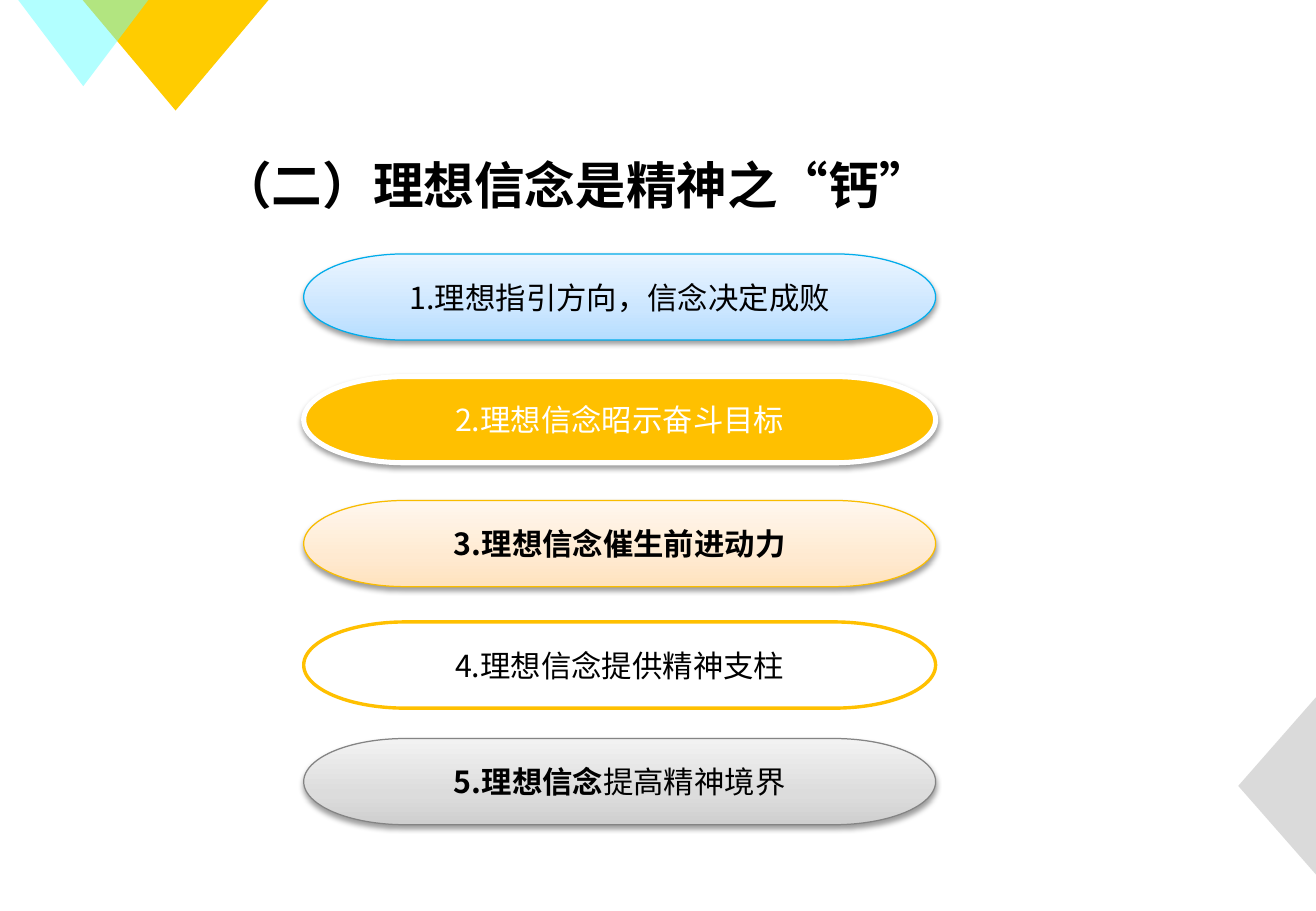
from copy import deepcopy
from dataclasses import dataclass

from lxml import etree
from pptx import Presentation
from pptx.dml.color import RGBColor
from pptx.enum import shapes, text
from pptx.oxml import ns
from pptx.util import Inches, Pt

FONT = "Noto Sans CJK SC"
HEX = {
    "black": "000000", "white": "FFFFFF", "gold": "FFC000",
    "yellow": "FFCC00", "cyan": "66FFFF", "gray": "B7B7B7",
    "sky": "00ACEB", "amber": "F9BC00", "steel": "848484",
}
GRADS = {
    "blue": ("B5DDFF", "CBE6FF", "EBF5FF"),
    "peach": ("FFE2BD", "FFEAD1", "FFF7EE"),
    "silver": ("CFCFCF", "DCDCDC", "F2F2F2"),
}
STOPS = (0, 0.35, 1)


@dataclass
class Wedge:
    left: float
    top: float
    width: float
    height: float
    turn: int
    fill: str
    alpha: int = 100


@dataclass
class Pill:
    top: float
    bold: str
    plain: str
    fill: str
    line: str
    weight: float = 0.75
    ink: str = "black"
    shade: bool = True


WEDGES = [
    Wedge(0.68, 0, 1.53, 0.91, 180, "yellow"),
    Wedge(0.15, 0, 1.07, 0.71, 180, "cyan", 50),
    Wedge(9.78, 6.15, 1.46, 0.64, 270, "gray", 50),
]
PILLS = [
    Pill(2.09, "", "1.理想指引方向，信念决定成败", "blue", "sky"),
    Pill(3.1, "", "2.理想信念昭示奋斗目标", "gold", "white", 3, "white"),
    Pill(4.12, "3.理想信念催生前进动力", "", "peach", "amber"),
    Pill(5.12, "", "4.理想信念提供精神支柱", "white", "gold", 2, shade=False),
    Pill(6.08, "5.理想信念", "提高精神境界", "silver", "steel"),
]


def color(name: str) -> RGBColor:
    return RGBColor.from_string(HEX[name])


def style(run, size: float, ink: str, bold: bool) -> None:
    font = run.font
    font.size, font.bold, font.name = Pt(size), bold, FONT
    font.color.rgb = color(ink)
    etree.SubElement(run._r.get_or_add_rPr(), ns.qn("a:ea"), typeface=FONT)


def blend(shape, hues: tuple) -> None:
    shape.fill.gradient()
    shape.fill.gradient_angle = 90
    stops = shape.element.spPr.find(".//" + ns.qn("a:gsLst"))
    stops.insert(1, deepcopy(stops[0]))
    for stop, place, hue in zip(shape.fill.gradient_stops, STOPS, hues):
        stop.position = place
        stop.color.rgb = RGBColor.from_string(hue)


def cast(shape) -> None:
    effect = shape.element.spPr.find(ns.qn("a:effectLst"))
    outer = etree.SubElement(effect, ns.qn("a:outerShdw"), blurRad="40000",
                             dist="20000", dir="5400000", rotWithShape="0")
    tone = etree.SubElement(outer, ns.qn("a:srgbClr"), val=HEX["black"])
    etree.SubElement(tone, ns.qn("a:alpha"), val="38000")


def add_wedge(slide, item: Wedge) -> None:
    shape = slide.shapes.add_shape(
        shapes.MSO_SHAPE.ISOSCELES_TRIANGLE, Inches(item.left), Inches(item.top),
        Inches(item.width), Inches(item.height))
    shape.rotation = item.turn
    shape.shadow.inherit = False
    shape.line.fill.background()
    shape.fill.solid()
    shape.fill.fore_color.rgb = color(item.fill)
    if item.alpha < 100:
        tone = shape.element.spPr.find(ns.qn("a:solidFill"))[0]
        etree.SubElement(tone, ns.qn("a:alpha"), val=str(item.alpha * 1000))


def add_pill(slide, item: Pill) -> None:
    shape = slide.shapes.add_shape(
        shapes.MSO_SHAPE.FLOWCHART_TERMINATOR, Inches(2.5), Inches(item.top),
        Inches(5.2), Inches(0.71))
    if item.fill in GRADS:
        blend(shape, GRADS[item.fill])
    else:
        shape.fill.solid()
        shape.fill.fore_color.rgb = color(item.fill)
    shape.line.color.rgb = color(item.line)
    shape.line.width = Pt(item.weight)
    shape.shadow.inherit = False
    if item.shade:
        cast(shape)
    frame = shape.text_frame
    frame.vertical_anchor = text.MSO_ANCHOR.MIDDLE
    para = frame.paragraphs[0]
    para.alignment = text.PP_ALIGN.CENTER
    for words, bold in ((item.bold, True), (item.plain, False)):
        if words:
            run = para.add_run()
            run.text = words
            style(run, 18, item.ink, bold)


def add_title(slide, words: str) -> None:
    title = slide.shapes.title
    title.left, title.top = Inches(1.72), Inches(1.23)
    title.width, title.height = Inches(6.98), Inches(0.58)
    frame = title.text_frame
    frame.text = words
    frame.word_wrap = True
    frame.auto_size = text.MSO_AUTO_SIZE.NONE
    frame.vertical_anchor = text.MSO_ANCHOR.MIDDLE
    para = frame.paragraphs[0]
    para.alignment = text.PP_ALIGN.LEFT
    style(para.runs[0], 30, "black", True)


def main() -> None:
    deck = Presentation()
    deck.slide_width, deck.slide_height = Inches(10.83), Inches(7.5)
    slide = deck.slides.add_slide(deck.slide_layouts[5])
    # Corner wedges
    for wedge in WEDGES:
        add_wedge(slide, wedge)
    # Heading and its five points
    add_title(slide, "（二）理想信念是精神之“钙”")
    for pill in PILLS:
        add_pill(slide, pill)
    deck.save("out.pptx")


if __name__ == "__main__":
    main()
